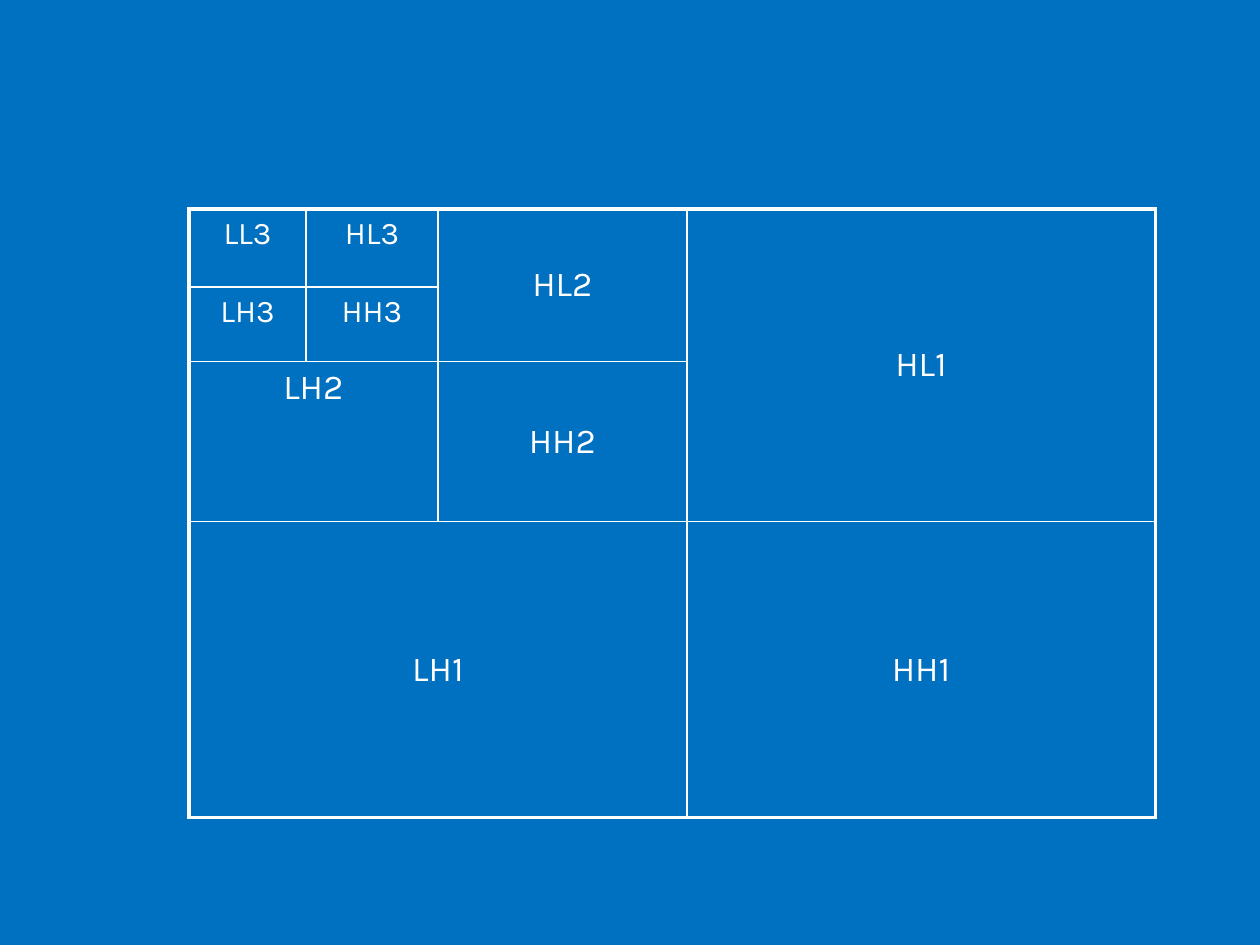
from lxml import etree
from pptx import Presentation
from pptx.dml.color import RGBColor
from pptx.enum.text import MSO_ANCHOR, PP_ALIGN
from pptx.oxml.ns import qn
from pptx.util import Pt

TOP, MIDDLE = MSO_ANCHOR.TOP, MSO_ANCHOR.MIDDLE
CENTER = PP_ALIGN.CENTER
BLUE = RGBColor(0x00, 0x70, 0xC0)
WHITE = RGBColor(0xFF, 0xFF, 0xFF)
FONT = "Karla"
THIN, THICK = 1, 2.25
NO_STYLE = "{2D5ABB26-0587-4C30-8999-92F81FD0307C}"

COLS = (66.9, 75.3, 142.3, 267.7)
ROWS = (44.6, 42.5, 91.4, 169.2)
BOX = (108, 119.5, sum(COLS), sum(ROWS))

# Each band: label, row, column, rows spanned, columns spanned, size, anchor
BANDS = (
    ("LL3", 0, 0, 1, 1, 18, TOP),
    ("HL3", 0, 1, 1, 1, 18, TOP),
    ("LH3", 1, 0, 1, 1, 18, TOP),
    ("HH3", 1, 1, 1, 1, 18, TOP),
    ("HL2", 0, 2, 2, 1, 20, MIDDLE),
    ("LH2", 2, 0, 1, 2, 20, TOP),
    ("HH2", 2, 2, 1, 1, 20, MIDDLE),
    ("HL1", 0, 3, 3, 1, 20, MIDDLE),
    ("LH1", 3, 0, 1, 3, 20, MIDDLE),
    ("HH1", 3, 3, 1, 1, 20, MIDDLE),
)


def write(cell, text, size, anchor=TOP, align=CENTER, color=WHITE):
    """Put formatted text in a cell."""
    cell.vertical_anchor = anchor
    para = cell.text_frame.paragraphs[0]
    para.alignment = align
    run = para.add_run()
    run.text = text
    run.font.name = FONT
    run.font.size = Pt(size)
    run.font.bold = False
    run.font.color.rgb = color


def rule(cell, side, width):
    """Draw one border of a cell."""
    line = etree.SubElement(cell._tc.get_or_add_tcPr(), qn(f"a:ln{side}"), w=str(Pt(width)))
    fill = etree.SubElement(line, qn("a:solidFill"))
    etree.SubElement(fill, qn("a:srgbClr"), val=str(WHITE))


def frame(grid, row, col, high, wide):
    """Outline a band, with thick lines on the rim of the grid."""
    last, end = row + high - 1, col + wide - 1
    for r in range(row, last + 1):
        for c in range(col, end + 1):
            cell = grid.cell(r, c)
            edges = (
                ("L", c == col, col == 0),
                ("R", c == end, end == len(COLS) - 1),
                ("T", r == row, row == 0),
                ("B", r == last, last == len(ROWS) - 1),
            )
            for side, edge, rim in edges:
                if edge or (r, c) == (row, col):
                    rule(cell, side, THICK if rim else THIN)
            cell.fill.background()


def add_bands(slide, box):
    """Build the table of wavelet bands in the given box."""
    shape = slide.shapes.add_table(len(ROWS), len(COLS), *map(Pt, box))
    grid = shape.table
    grid.first_row = grid.horz_banding = False
    grid._tbl.tblPr.find(qn("a:tableStyleId")).text = NO_STYLE
    for col, width in zip(grid.columns, COLS):
        col.width = Pt(width)
    for row, height in zip(grid.rows, ROWS):
        row.height = Pt(height)
    for text, row, col, high, wide, size, anchor in BANDS:
        cell = grid.cell(row, col)
        if high * wide > 1:
            cell.merge(grid.cell(row + high - 1, col + wide - 1))
        frame(grid, row, col, high, wide)
        write(cell, text, size=size, anchor=anchor)


def main():
    """Make the slide and save it."""
    deck = Presentation()
    deck.slide_width, deck.slide_height = Pt(720), Pt(540)
    slide = deck.slides.add_slide(deck.slide_layouts[6])
    back = slide.background.fill
    back.solid()
    back.fore_color.rgb = BLUE
    add_bands(slide, BOX)
    deck.save("out.pptx")


if __name__ == "__main__":
    main()
